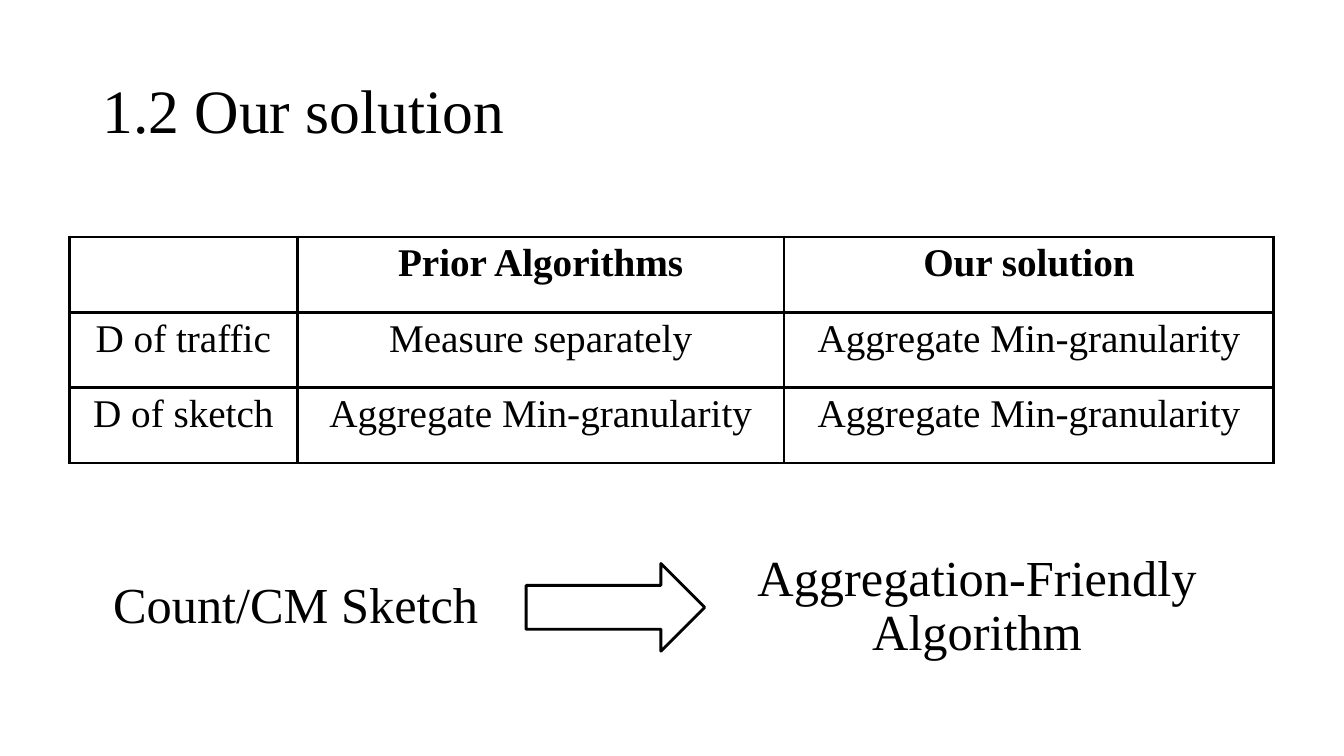
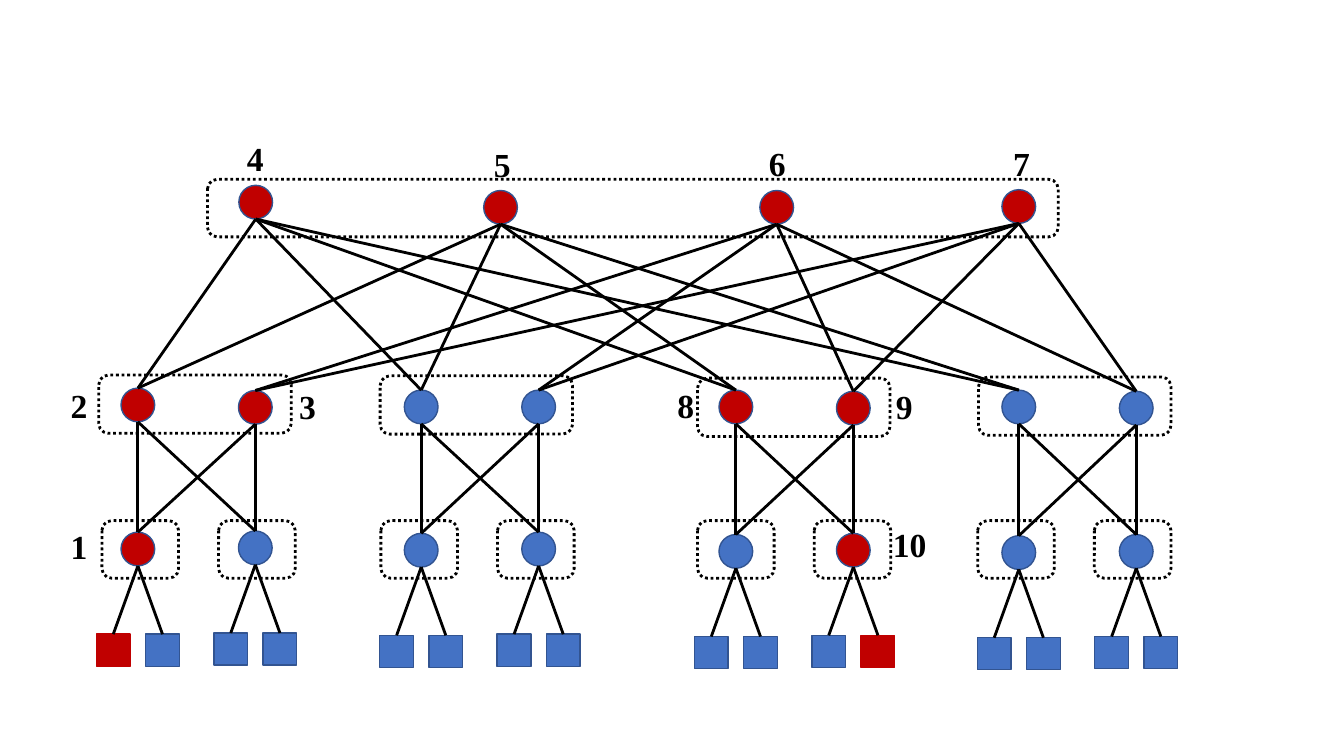
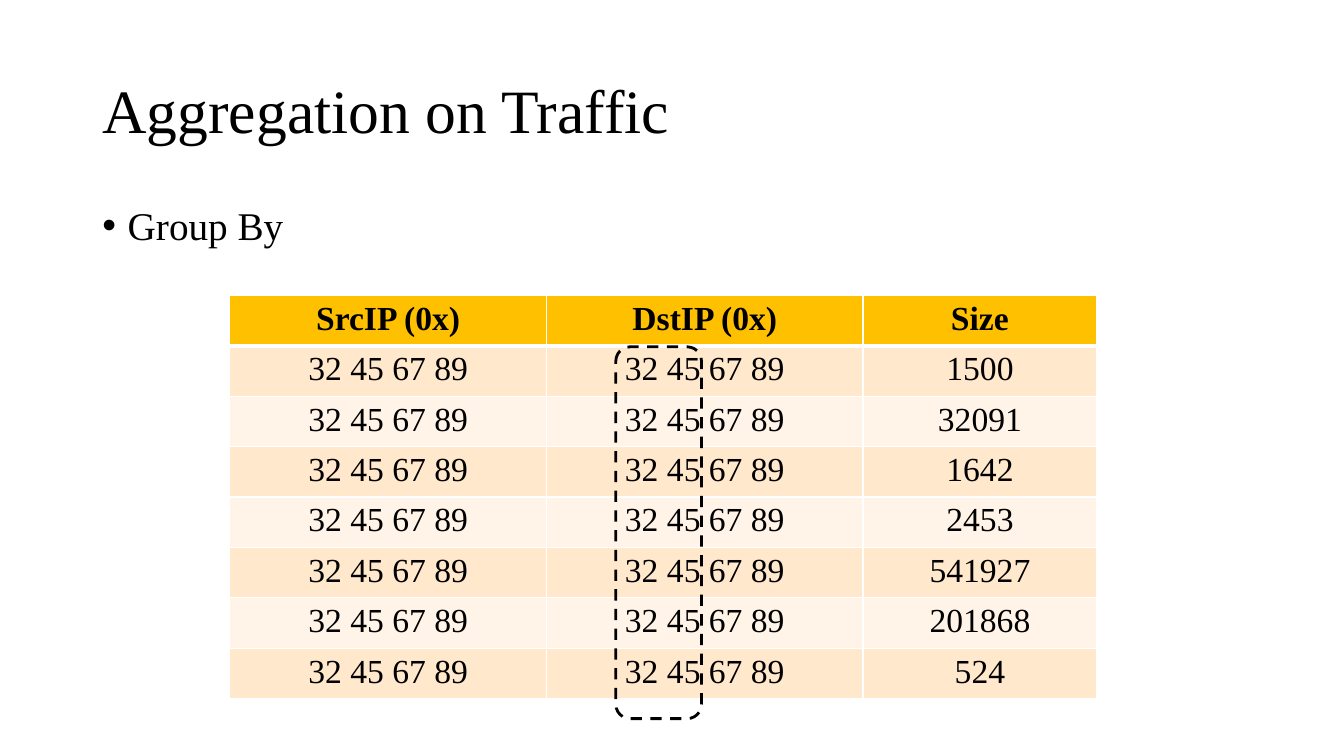
from lxml import etree
from pptx import Presentation
from pptx.dml.color import RGBColor
from pptx.enum.dml import MSO_LINE
from pptx.enum.shapes import MSO_CONNECTOR, MSO_SHAPE
from pptx.enum.text import MSO_ANCHOR, PP_ALIGN
from pptx.oxml.ns import qn
from pptx.util import Cm, Pt

LEFT, CENTER = PP_ALIGN.LEFT, PP_ALIGN.CENTER
MIDDLE = MSO_ANCHOR.MIDDLE
CIRCLE, SQUARE = MSO_SHAPE.OVAL, MSO_SHAPE.RECTANGLE
ROUNDED, ARROW = MSO_SHAPE.ROUNDED_RECTANGLE, MSO_SHAPE.RIGHT_ARROW
DOTTED, DASHED = MSO_LINE.ROUND_DOT, MSO_LINE.DASH
STRAIGHT = MSO_CONNECTOR.STRAIGHT

FONT = "Times New Roman"
COLORS = {
    "ink": "000000", "white": "FFFFFF",
    "node": "4472C4", "node_edge": "325491", "path": "C00000",
    "header": "FFC000", "band_dark": "FFE8CC", "band_light": "FFF4E7",
}


def write(frame, text, size, bold=False, align=LEFT, spacing=1.0):
    """Put one formatted run in the first paragraph of a text frame."""
    frame.word_wrap = True
    paragraph = frame.paragraphs[0]
    paragraph.alignment = align
    paragraph.line_spacing = spacing
    run = paragraph.add_run()
    run.text = text
    run.font.name, run.font.size, run.font.bold = FONT, Pt(size), bold
    run.font.color.rgb = RGBColor.from_string(COLORS["ink"])
    return paragraph


def draw(slide, kind, box, fill=None, line="ink", width=2, dash=None):
    """Draw a preset shape; box is left, top, width, height in cm."""
    shape = slide.shapes.add_shape(kind, *map(Cm, box))
    shape.shadow.inherit = False
    if fill:
        shape.fill.solid()
        shape.fill.fore_color.rgb = RGBColor.from_string(COLORS[fill])
    else:
        shape.fill.background()
    shape.line.color.rgb = RGBColor.from_string(COLORS[line])
    shape.line.width = Pt(width)
    if dash:
        shape.line.dash_style = dash
    return shape


deck = Presentation()
deck.slide_width, deck.slide_height = Cm(33.87), Cm(19.05)
solution, network, traffic = [deck.slides.add_slide(deck.slide_layouts[6]) for _ in range(3)]

# Titles and the two captions beside the arrow
headings = [
    (solution, (2.33, 1.01, 29.21, 3.68), "1.2 Our solution", 44, LEFT),
    (traffic, (2.33, 1.01, 29.21, 3.68), "Aggregation on Traffic", 44, LEFT),
    (solution, (0.56, 13.46, 13.79, 3.68), "Count/CM Sketch", 36, CENTER),
    (solution, (17.73, 13.46, 13.79, 3.68), "Aggregation-Friendly Algorithm", 36, CENTER),
]
for slide, box, text, size, align in headings:
    frame = slide.shapes.add_textbox(*map(Cm, box)).text_frame
    frame.vertical_anchor = MIDDLE
    write(frame, text, size, align=align, spacing=0.9)

# Tables: slide, left and top, column widths, row height, text size,
# border colour, border width, header rule width, fills (header, odd, even), rows
address = "32 45 67 89"
sizes = ["1500", "32091", "1642", "2453", "541927", "201868", "524"]
tables = [
    (solution, (1.75, 5.97), (5.74, 12.27, 12.34), 1.9, 28, "ink", 2.25, 2.25, None, [
        ("", "Prior Algorithms", "Our solution"),
        ("D of traffic", "Measure separately", "Aggregate Min-granularity"),
        ("D of sketch", "Aggregate Min-granularity", "Aggregate Min-granularity"),
    ]),
    (traffic, (5.79, 7.44), (7.98, 7.98, 5.89), 1.19, 24, "white", 1, 3,
     ("header", "band_dark", "band_light"),
     [("SrcIP (0x)", "DstIP (0x)", "Size")] + [(address, address, size) for size in sizes]),
]
for slide, corner, columns, row_height, size, border, thin, rule, fills, rows in tables:
    box = (*corner, sum(columns), row_height * len(rows))
    grid = slide.shapes.add_table(len(rows), len(columns), *map(Cm, box)).table
    grid.first_row = grid.horz_banding = False
    for column, width in zip(grid.columns, columns):
        column.width = Cm(width)
    for r, texts in enumerate(rows):
        grid.rows[r].height = Cm(row_height)
        for c, text in enumerate(texts):
            cell = grid.cell(r, c)
            if text:
                write(cell.text_frame, text, size, r == 0, CENTER)
            properties = cell._tc.get_or_add_tcPr()
            edges = {"lnL": thin, "lnR": thin,
                     "lnT": rule if r == 1 else thin, "lnB": rule if r == 0 else thin}
            for edge, width in edges.items():
                line = etree.SubElement(properties, qn("a:" + edge), w=str(Pt(width)))
                paint = etree.SubElement(line, qn("a:solidFill"))
                etree.SubElement(paint, qn("a:srgbClr"), val=COLORS[border])
            if fills:
                band = fills[0] if r == 0 else fills[2 - r % 2]
                cell.fill.solid()
                cell.fill.fore_color.rgb = RGBColor.from_string(COLORS[band])
            else:
                cell.fill.background()

# Arrow between the captions
draw(solution, ARROW, (13.26, 14.2, 4.5, 2.21))

# Network: four core switches, then four pods of two sides each
NODE, HOST_HEIGHT, SIDE_STEP = 0.85, 0.81, 2.96
links = []  # lower node, upper node
cores = [draw(network, CIRCLE, (x, y, NODE, NODE), "path", "node_edge", 1)
         for x, y in [(6.02, 4.67), (12.19, 4.8), (19.15, 4.8), (25.25, 4.78)]]
pods = [(3.05, (9.78, 9.84)), (10.19, (9.83, 9.83)),
        (18.12, (9.83, 9.86)), (25.25, (9.83, 9.86))]
path_edges = [(0, 0), (2, 1)]
path_hosts = [(0, 0, 0), (2, 1, 1)]
for pod, (pod_left, aggregate_tops) in enumerate(pods):
    aggregates, edges = [], []
    for side, aggregate_top in enumerate(aggregate_tops):
        left = pod_left + side * SIDE_STEP
        edge_top = 13.41 + 0.03 * (pod - side)
        aggregates.append(draw(network, CIRCLE, (left, aggregate_top, NODE, NODE),
                               "path" if pod in (0, 2) else "node", "node_edge", 1))
        edges.append(draw(network, CIRCLE, (left, edge_top, NODE, NODE),
                          "path" if (pod, side) in path_edges else "node", "node_edge", 1))
        links += [(aggregates[side], core) for core in cores[2 * side:2 * side + 2]]
        for place, shift in enumerate((-0.62, 0.62)):
            on_path = (pod, side, place) in path_hosts
            host = draw(network, SQUARE, (left + shift, edge_top + 2.57, NODE, HOST_HEIGHT),
                        "path" if on_path else "node", "path" if on_path else "node_edge", 1)
            links.append((host, edges[side]))
    links += [(edge, aggregate) for edge in edges for aggregate in aggregates]

# Links run from the top of the lower node to the bottom of the upper one
for lower, upper in links:
    link = network.shapes.add_connector(
        STRAIGHT, lower.left + lower.width // 2, lower.top,
        upper.left + upper.width // 2, upper.top + upper.height)
    link.begin_connect(lower, 0)
    link.line.color.rgb = RGBColor.from_string(COLORS["ink"])
    link.line.width = Pt(2)
    etree.SubElement(link._element.spPr, qn("a:effectLst"))

# Switch numbers
numbers = [(1.78, 13.26), (1.78, 9.7), (7.54, 9.73), (6.22, 3.48), (12.45, 3.63),
           (19.38, 3.61), (25.53, 3.61), (17.07, 9.7), (22.58, 9.73), (22.5, 13.21)]
for number, corner in enumerate(numbers, start=1):
    frame = network.shapes.add_textbox(*map(Cm, (*corner, 1.57, 1.02))).text_frame
    frame.margin_left = frame.margin_right = frame.margin_top = frame.margin_bottom = 0
    write(frame, str(number), 24, bold=True)

# Dotted groups around the edge, aggregate and core layers
groups = [(5.23, 4.52, 21.44, 1.45)]
for left, top in [(2.49, 9.45), (9.58, 9.47), (17.58, 9.53), (24.66, 9.5)]:
    groups.append((left, top, 4.85, 1.47))
for left in (2.57, 9.6, 17.58, 24.64):
    groups += [(left + side * 2.94, 13.12, 1.93, 1.45) for side in range(2)]
for group in groups:
    draw(network, ROUNDED, group, dash=DOTTED)

# Dashed frame around the address prefix
draw(traffic, ROUNDED, (15.52, 8.74, 2.16, 9.37), dash=DASHED)

# Bulleted line above the traffic table
body = traffic.shapes.add_textbox(*map(Cm, (2.33, 5.08, 29.21, 12.09))).text_frame
bullet_line = write(body, "Group By", 28, spacing=0.9)
bullet_line.space_before = Pt(10)
indents = bullet_line._p.get_or_add_pPr()
indents.set("marL", str(Cm(0.64)))
indents.set("indent", str(Cm(-0.64)))
etree.SubElement(indents, qn("a:buFont"), typeface="Arial")
etree.SubElement(indents, qn("a:buChar"), char="•")

deck.save("out.pptx")
